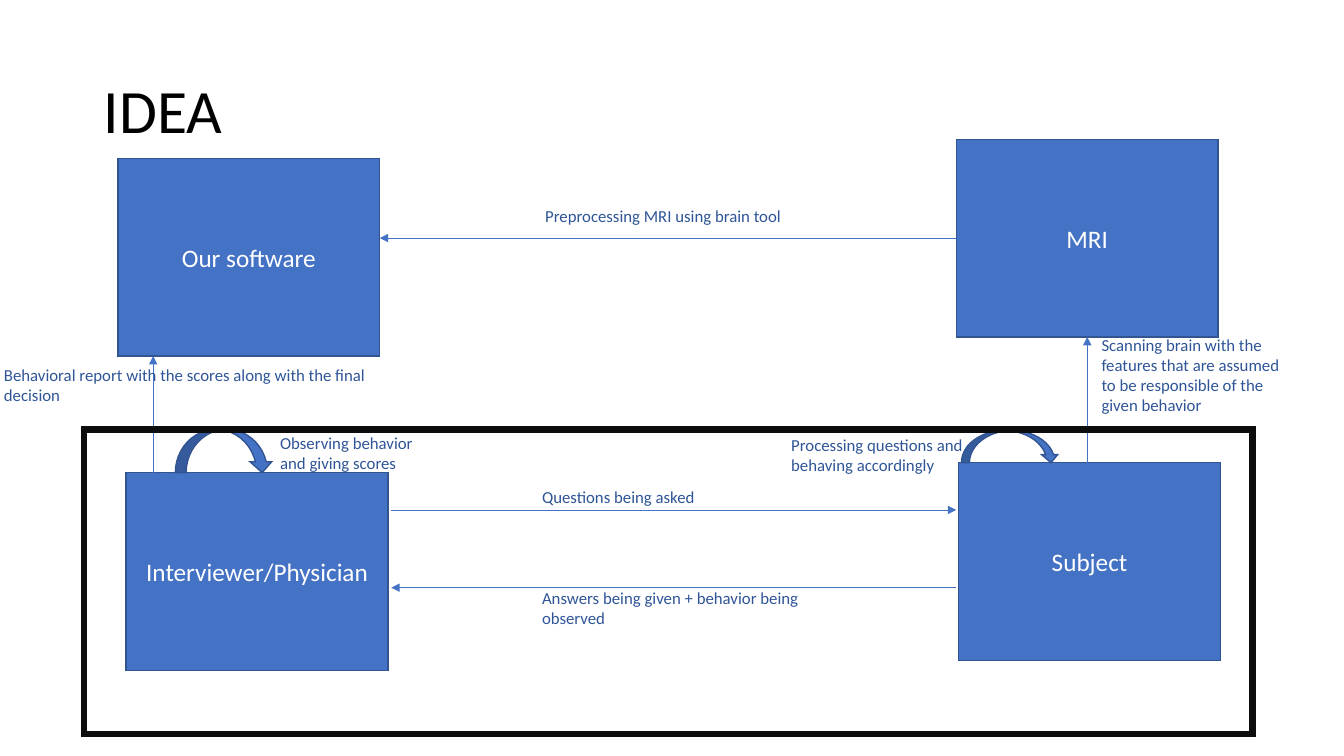
from lxml.etree import SubElement
from pptx import Presentation
from pptx.dml.color import RGBColor
from pptx.enum.shapes import MSO_CONNECTOR as LINE, MSO_SHAPE as SHAPE
from pptx.enum.text import MSO_ANCHOR as ANCHOR, MSO_AUTO_SIZE as FIT, PP_ALIGN as ALIGN
from pptx.oxml.ns import qn
from pptx.util import Cm, Pt

BLUE = RGBColor(0x44, 0x72, 0xC4)
EDGE = RGBColor(0x32, 0x54, 0x91)
NAVY = RGBColor(0x2F, 0x55, 0x97)
INK = RGBColor(0x0D, 0x0D, 0x0D)
BLACK = RGBColor(0, 0, 0)
WHITE = RGBColor(0xFF, 0xFF, 0xFF)

# All lengths are in centimetres.
BOX_W, BOX_H = 6.6, 4.98
LEFT, RIGHT = 9.86, 24.1  # ends of the dialogue arrows
TITLE = ("IDEA", 2.36, 1.02, 29.21, 3.68)
BOXES = {  # name: left, top
    "Interviewer/Physician": (3.18, 11.91),
    "Subject": (24.16, 11.66),
    "MRI": (RIGHT, 3.51),
    "Our software": (2.97, 3.99),
}
ARROWS = [  # start, end, (box, side) joined at start, (box, side) joined at end
    ((LEFT, 12.85), (RIGHT, 12.85), None, None),
    ((RIGHT, 14.81), (LEFT, 14.81), None, None),
    ((27.4, 11.91), (27.4, 8.49), None, ("MRI", 2)),
    ((RIGHT, 6), (9.57, 6), ("MRI", 1), None),
    ((3.86, 11.91), (3.86, 8.97), None, None),
]
LOOPS = [(24.23, 10.85, 2.46, 0.81), (4.42, 10.82, 2.46, 1.09)]
NOTES = [  # text, left, top, width, height
    ("Questions being asked", 13.41, 12.14, 4.52, 1.55),
    ("Answers being given + behavior being observed", 13.41, 14.68, 7.95, 2.06),
    ("Processing questions and behaving accordingly", 19.69, 10.82, 6.15, 2.06),
    ("Observing behavior and giving scores", 6.81, 10.77, 4.52, 2.06),
    ("Scanning brain with the features that are assumed to be responsible "
     "of the given behavior", 27.51, 8.31, 5.31, 3.07),
    ("Preprocessing MRI using brain tool", 13.49, 5.05, 10.01, 1.55),
    ("Behavioral report with the scores along with the final decision",
     -0.15, 9.07, 10.01, 2.06),
]
FRAME = (2.11, 10.82, 29.46, 7.67)


def cms(nums):
    return [Cm(n) for n in nums]


def write(shape, text, size, color, align=ALIGN.LEFT, anchor=ANCHOR.TOP):
    frame = shape.text_frame
    frame.text = text
    frame.word_wrap = True
    frame.auto_size = FIT.NONE
    frame.vertical_anchor = anchor
    para = frame.paragraphs[0]
    para.alignment = align
    font = para.runs[0].font
    font.name, font.size, font.color.rgb = "Calibri", Pt(size), color
    return para


def draw(slide, kind, place, fill, line, width):
    """Add a preset shape with sharp outline corners."""
    shape = slide.shapes.add_shape(kind, *cms(place))
    shape.shadow.inherit = False
    if fill is None:
        shape.fill.background()
    else:
        shape.fill.solid()
        shape.fill.fore_color.rgb = fill
    shape.line.color.rgb = line
    shape.line.width = Pt(width)
    SubElement(shape.line._get_or_add_ln(), qn("a:miter"), lim="800000")
    return shape


def link(slide, start, end, source, target, boxes):
    arrow = slide.shapes.add_connector(LINE.STRAIGHT, *cms(start + end))
    if source:
        arrow.begin_connect(boxes[source[0]], source[1])
    if target:
        arrow.end_connect(boxes[target[0]], target[1])
    arrow.line.color.rgb = BLUE
    arrow.line.width = Pt(0.5)
    SubElement(arrow.line._get_or_add_ln(), qn("a:tailEnd"), type="triangle")
    SubElement(arrow._element.spPr, qn("a:effectLst"))


def main():
    deck = Presentation()
    deck.slide_width, deck.slide_height = Cm(33.87), Cm(19.05)
    slide = deck.slides.add_slide(deck.slide_layouts[5])

    text, *place = TITLE
    title = slide.shapes.title
    title.left, title.top, title.width, title.height = cms(place)
    write(title, text, 44, BLACK, anchor=ANCHOR.MIDDLE).line_spacing = 0.9

    boxes = {}
    for name, spot in BOXES.items():
        box = draw(slide, SHAPE.RECTANGLE, (*spot, BOX_W, BOX_H), BLUE, EDGE, 1)
        write(box, name, 18, WHITE, ALIGN.CENTER, ANCHOR.MIDDLE)
        boxes[name] = box
    for arrow in ARROWS:
        link(slide, *arrow, boxes)
    for place in LOOPS:
        draw(slide, SHAPE.CURVED_DOWN_ARROW, place, BLUE, EDGE, 1)
    for text, *place in NOTES:
        write(slide.shapes.add_textbox(*cms(place)), text, 12, NAVY)
    draw(slide, SHAPE.RECTANGLE, FRAME, None, INK, 4.5)

    deck.save("out.pptx")


if __name__ == "__main__":
    main()
